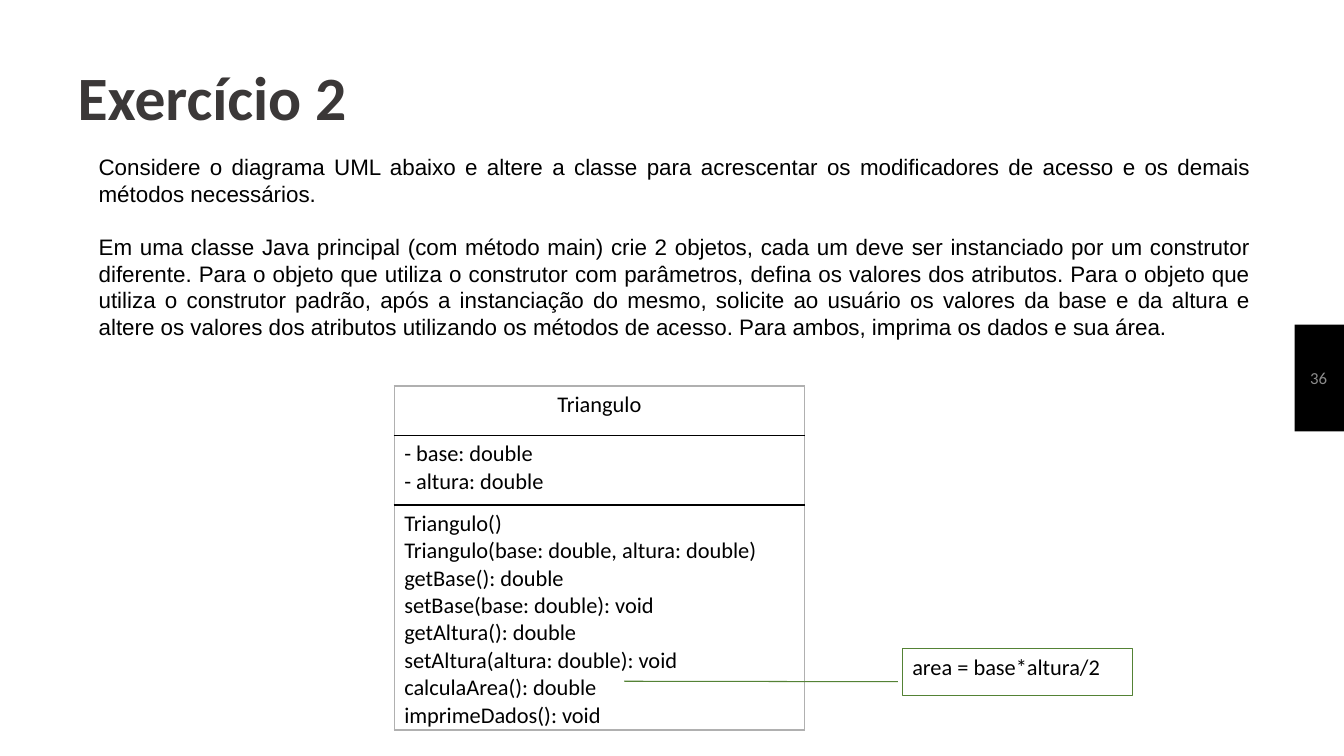
from lxml import etree
from pptx import Presentation
from pptx.dml.color import RGBColor
from pptx.enum.shapes import MSO_SHAPE
from pptx.enum.text import MSO_ANCHOR, PP_ALIGN
from pptx.oxml.ns import qn
from pptx.util import Inches, Pt

RECTANGLE, CALLOUT = MSO_SHAPE.RECTANGLE, MSO_SHAPE.LINE_CALLOUT_1
TOP, MIDDLE, BOTTOM = MSO_ANCHOR.TOP, MSO_ANCHOR.MIDDLE, MSO_ANCHOR.BOTTOM
LEFT, CENTER, RIGHT, JUSTIFY = PP_ALIGN.LEFT, PP_ALIGN.CENTER, PP_ALIGN.RIGHT, PP_ALIGN.JUSTIFY
TITLE_ONLY = 5
BLACK, GREY = "000000", "B0B0B0"

STATEMENT = [
    "Considere o diagrama UML abaixo e altere a classe para acrescentar os modificadores "
    "de acesso e os demais métodos necessários.",
    "Em uma classe Java principal (com método main) crie 2 objetos, cada um deve ser "
    "instanciado por um construtor diferente. Para o objeto que utiliza o construtor com "
    "parâmetros, defina os valores dos atributos. Para o objeto que utiliza o construtor "
    "padrão, após a instanciação do mesmo, solicite ao usuário os valores da base e da "
    "altura e altere os valores dos atributos utilizando os métodos de acesso. Para ambos, "
    "imprima os dados e sua área.",
]
CLASS_SECTIONS = [
    (0.49, CENTER, ["Triangulo"]),
    (0.69, JUSTIFY, ["- base: double", "- altura: double"]),
    (2.23, LEFT, [
        "Triangulo()",
        "Triangulo(base: double, altura: double)",
        "getBase(): double",
        "setBase(base: double): void",
        "getAltura(): double",
        "setAltura(altura: double): void",
        "calculaArea(): double",
        "imprimeDados(): void",
    ]),
]


def rgb(color):
    """Return the colour for a hex string."""
    return RGBColor.from_string(color)


def apply(target, values):
    """Set every attribute named in a dict."""
    for name, value in values.items():
        setattr(target, name, value)


def write(frame, lines, size=16, font="Calibri", color=BLACK, bold=False, gap=0, **layout):
    """Fill a text frame with equally formatted paragraphs."""
    for index, line in enumerate(lines):
        paragraph = frame.paragraphs[0] if index == 0 else frame.add_paragraph()
        paragraph.text = line
        apply(paragraph, layout)
        if index:
            paragraph.space_before = Pt(gap)
        apply(paragraph.font, {"size": Pt(size), "name": font, "bold": bold})
        paragraph.font.color.rgb = rgb(color)


def set_frame(frame, anchor=TOP, vertical_margin=0.05):
    """Set wrapping, anchor and insets of a text frame."""
    side, vertical = Inches(0.1), Inches(vertical_margin)
    apply(frame, {
        "word_wrap": True, "vertical_anchor": anchor,
        "margin_left": side, "margin_right": side,
        "margin_top": vertical, "margin_bottom": vertical,
    })


def add_text(slide, box, lines, anchor=TOP, vertical_margin=0.05, **text_format):
    """Add a text box."""
    frame = slide.shapes.add_textbox(*map(Inches, box)).text_frame
    set_frame(frame, anchor, vertical_margin)
    write(frame, lines, **text_format)


def add_title(slide, box, text):
    """Place and format the title placeholder."""
    title = slide.shapes.title
    apply(title, dict(zip(("left", "top", "width", "height"), map(Inches, box))))
    set_frame(title.text_frame, BOTTOM, 0.1)
    write(title.text_frame, [text], size=44, color="3B3838", bold=True,
          alignment=LEFT, line_spacing=0.9)


def add_page_band(slide, box):
    """Add the black band behind the page number."""
    band = slide.shapes.add_shape(RECTANGLE, *map(Inches, box))
    band.shadow.inherit = False
    band.fill.solid()
    band.fill.fore_color.rgb = rgb(BLACK)
    band.line.fill.background()


def add_callout(slide, box, text, color, adjustments):
    """Add an outlined callout with its leader line."""
    callout = slide.shapes.add_shape(CALLOUT, *map(Inches, box))
    callout.shadow.inherit = False
    callout.fill.background()
    callout.line.color.rgb = rgb(color)
    callout.line.width = Pt(0.75)
    for index, value in enumerate(adjustments):
        callout.adjustments[index] = value
    set_frame(callout.text_frame)
    write(callout.text_frame, [text], alignment=JUSTIFY)


def set_borders(cell, colors):
    """Draw the left, right, top and bottom borders of a cell."""
    properties = cell._tc.get_or_add_tcPr()
    for index, (side, color) in enumerate(zip(("lnL", "lnR", "lnT", "lnB"), colors)):
        line = etree.Element(qn(f"a:{side}"), w=str(Pt(1)))
        fill = etree.SubElement(line, qn("a:solidFill"))
        etree.SubElement(fill, qn("a:srgbClr"), val=color)
        properties.insert(index, line)


def add_class_diagram(slide, left, top, width, sections):
    """Add the UML class as a one-column table."""
    height = sum(section[0] for section in sections)
    box = map(Inches, (left, top, width, height))
    table = slide.shapes.add_table(len(sections), 1, *box).table
    apply(table, {"first_row": False, "horz_banding": False})
    last = len(sections) - 1
    for index, (row_height, alignment, lines) in enumerate(sections):
        table.rows[index].height = Inches(row_height)
        cell = table.cell(index, 0)
        cell.fill.background()
        write(cell.text_frame, lines, alignment=alignment)
        set_borders(cell, (GREY, GREY, BLACK if index else GREY,
                           BLACK if index < last else GREY))


def main():
    """Build the slide and save it."""
    presentation = Presentation()
    apply(presentation, {"slide_width": Inches(13.33), "slide_height": Inches(7.5)})
    slide = presentation.slides.add_slide(presentation.slide_layouts[TITLE_ONLY])
    add_page_band(slide, (12.84, 3.22, 0.49, 1.06))
    add_title(slide, (0.67, 0.18, 11.83, 1.25), "Exercício 2")
    add_text(slide, (0.88, 1.47, 11.62, 1.99), STATEMENT, font="Arial",
             gap=18.5, alignment=JUSTIFY)
    add_class_diagram(slide, 3.91, 3.83, 4.07, CLASS_SECTIONS)
    add_callout(slide, (8.95, 6.43, 2.28, 0.47), "area = base*altura/2", "548235",
                (0.71, -0.02, 0.7, -1.21))
    add_text(slide, (12.77, 3.22, 0.49, 1.06), ["36"], anchor=MIDDLE, vertical_margin=0.1,
             size=12, color="8C8C8C", alignment=RIGHT)
    presentation.save("out.pptx")


if __name__ == "__main__":
    main()
